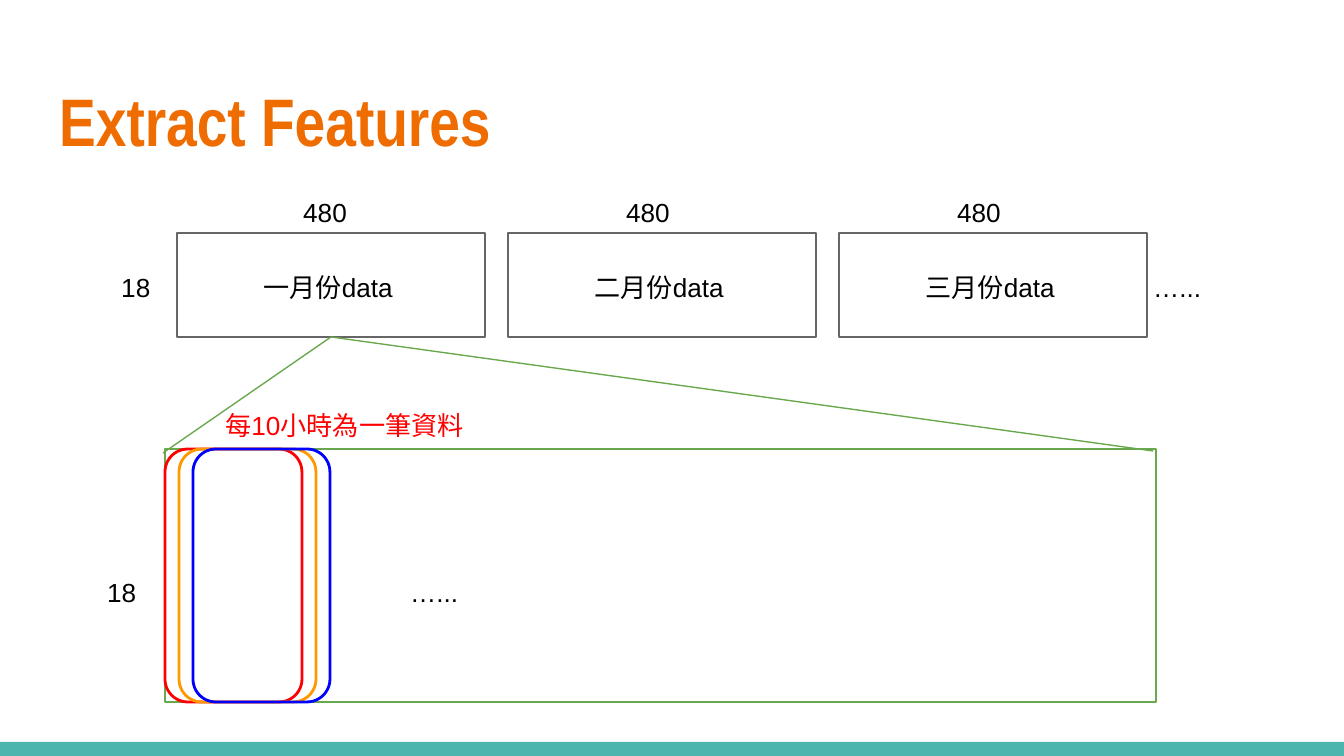
from pptx import Presentation
from pptx import util as u
from pptx.dml.color import RGBColor
from pptx.enum import shapes, text
from pptx.oxml.ns import qn
from lxml import etree

PX = 914400 / 134.4  # EMU per px
BLACK, GREY, GREEN = "000000", "666666", "6AA84F"
TEXT_HEIGHT = 52


def px(length):
    return u.Emu(round(length * PX))


def color(value):
    return RGBColor.from_string(value)


def add_text(slide, box, words, size=14, font="Arial", fill=BLACK, bold=False):
    shape = slide.shapes.add_textbox(*map(px, box))
    frame = shape.text_frame
    frame.word_wrap = True
    frame.vertical_anchor = text.MSO_ANCHOR.TOP
    frame.margin_left = frame.margin_right = u.Inches(0.1)
    frame.margin_top = frame.margin_bottom = u.Inches(0.1)
    paragraph = frame.paragraphs[0]
    paragraph.text = words
    paragraph.font.size = u.Pt(size)
    paragraph.font.name = font
    paragraph.font.bold = bold
    paragraph.font.color.rgb = color(fill)
    return shape


def add_outline(slide, box, line, width=0.75, kind=shapes.MSO_SHAPE.RECTANGLE):
    shape = slide.shapes.add_shape(kind, *map(px, box))
    shape.shadow.inherit = False
    shape.fill.background()
    shape.line.color.rgb = color(line)
    shape.line.width = u.Pt(width)
    return shape


def add_month(slide, box, name, count_offset):
    """One month's rectangle with its name and hour count."""
    left, top, width, height = box
    month = add_outline(slide, box, GREY)
    add_text(slide, (left + 73, top + 25, 162, TEXT_HEIGHT), name)
    add_text(slide, (left + count_offset, top - 50, 98, TEXT_HEIGHT), "480")
    return month


def add_months(slide, box):
    """The row of months; returns the first month's rectangle."""
    left, top, width, height = box
    pitch = 331
    names = ("一月份data", "二月份data", "三月份data")
    offsets = (113, 105, 105)
    months = [
        add_month(slide, (left + i * pitch, top, width, height), name, offset)
        for i, (name, offset) in enumerate(zip(names, offsets))
    ]
    add_text(slide, (left - 69, top + 25, 70, TEXT_HEIGHT), "18")
    add_text(slide, (left + 963, top + 25, 110, TEXT_HEIGHT), "…...")
    return months[0]


def add_windows(slide, box):
    """The enlarged month with its overlapping ten-hour windows."""
    left, top, width, height = box
    add_outline(slide, box, GREEN)
    add_text(slide, (left - 71, top + 114, 70, TEXT_HEIGHT), "18")
    for i, line in enumerate(("FF0000", "FF9900", "0000FF")):
        window = add_outline(slide, (left + i * 14, top, 137, height), line, 1.5,
                             shapes.MSO_SHAPE.ROUNDED_RECTANGLE)
        window.adjustments[0] = 0.167
    add_text(slide, (left + 232, top + 114, 110, TEXT_HEIGHT), "…...")
    add_text(slide, (left + 47, top - 53, 295, TEXT_HEIGHT), "每10小時為一筆資料",
             fill="FF0000")


def add_zoom_lines(slide, month, ends):
    """Lines from the bottom of a month to the enlarged view."""
    for x, y in ends:
        connector = slide.shapes.add_connector(
            shapes.MSO_CONNECTOR.STRAIGHT, 0, 0, px(x), px(y))
        connector.begin_connect(month, 2)
        connector.line.color.rgb = color(GREEN)
        connector.line.width = u.Pt(0.75)
        etree.SubElement(connector.element.spPr, qn("a:effectLst"))


def add_footer(slide, box):
    bar = slide.shapes.add_shape(shapes.MSO_SHAPE.RECTANGLE, *map(px, box))
    bar.shadow.inherit = False
    bar.fill.solid()
    bar.fill.fore_color.rgb = color("4DB6AC")
    bar.line.fill.background()


def main():
    presentation = Presentation()
    presentation.slide_width, presentation.slide_height = px(1344), px(756)
    slide = presentation.slides.add_slide(presentation.slide_layouts[6])

    # Frame and title
    add_footer(slide, (0, 742, 1344, 14))
    add_text(slide, (46, 66, 1252, 104), "Extract Features", 36, "Arial Narrow",
             "EF6C00", True)

    # Months and the enlarged first month
    january = add_months(slide, (177, 233, 308, 104))
    add_zoom_lines(slide, january, ((163, 453), (1153, 451)))
    add_windows(slide, (165, 449, 991, 253))

    presentation.save("out.pptx")


if __name__ == "__main__":
    main()
